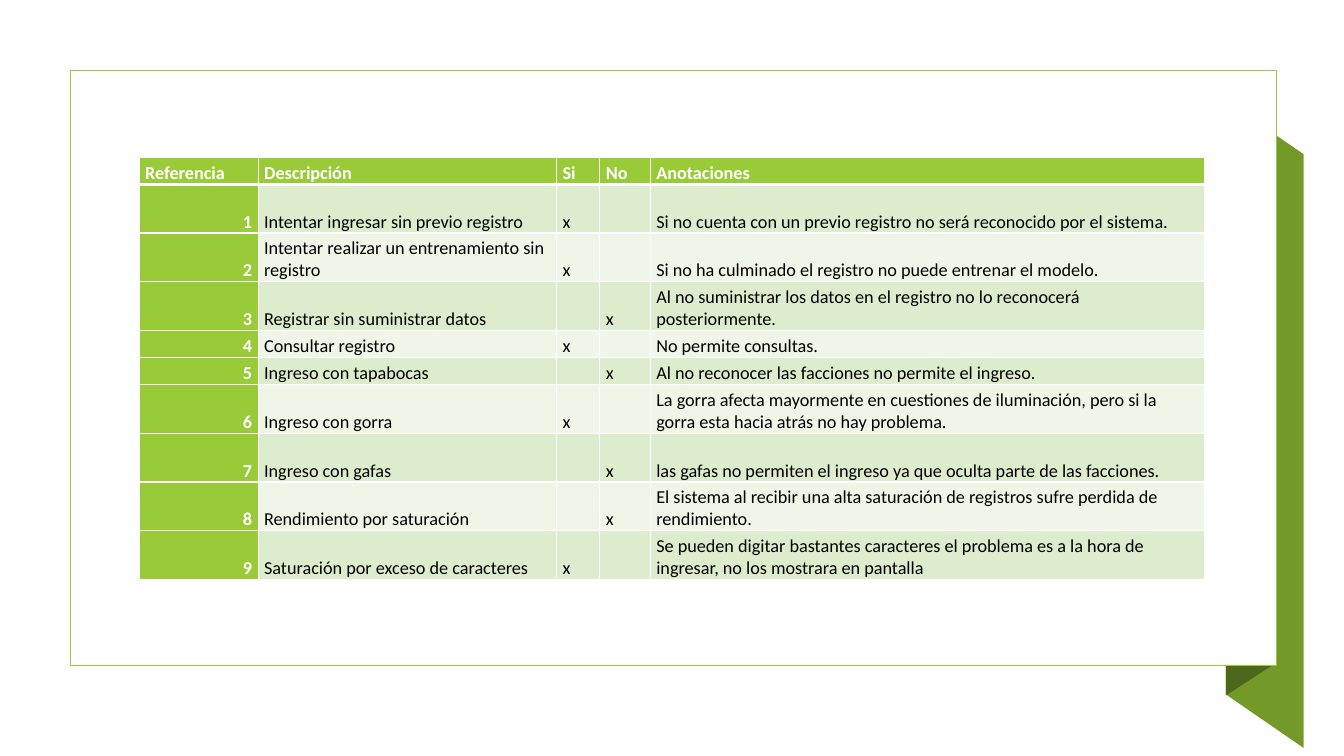
from lxml import etree
from pptx import Presentation
from pptx.dml.color import RGBColor
from pptx.enum.shapes import MSO_SHAPE
from pptx.enum.text import MSO_ANCHOR, PP_ALIGN
from pptx.oxml.ns import qn
from pptx.util import Inches, Pt

RECT = MSO_SHAPE.RECTANGLE
BOTTOM = MSO_ANCHOR.BOTTOM
LEFT, RIGHT = PP_ALIGN.LEFT, PP_ALIGN.RIGHT

COLORS = {
    "green": "99CB38", "ribbon": "739A28", "fold": "4D671B",
    "band_dark": "DEECCE", "band_light": "EFF6E8",
    "white": "FFFFFF", "black": "000000",
}
FONT_SIZE = 13
COL_WIDTHS = [1.18, 2.96, 0.43, 0.5, 5.5]
SHORT, TALL = 0.27, 0.483
SHORT_ROWS = {0, 4, 5}
CELL_FORMAT = {
    "margin_left": Inches(0.06), "margin_right": Inches(0.06),
    "margin_top": 0, "margin_bottom": 0, "vertical_anchor": BOTTOM,
}
HEADER = ["Referencia", "Descripción", "Si", "No", "Anotaciones"]
# Description, whether it was allowed, notes
TESTS = [
    ("Intentar ingresar sin previo registro", True,
     "Si no cuenta con un previo registro no será reconocido por el sistema."),
    ("Intentar realizar un entrenamiento sin registro", True,
     "Si no ha culminado el registro no puede entrenar el modelo."),
    ("Registrar sin suministrar datos", False,
     "Al no suministrar los datos en el registro no lo reconocerá posteriormente."),
    ("Consultar registro", True, "No permite consultas."),
    ("Ingreso con tapabocas", False,
     "Al no reconocer las facciones no permite el ingreso."),
    ("Ingreso con gorra", True,
     "La gorra afecta mayormente en cuestiones de iluminación, pero si la gorra "
     "esta hacia atrás no hay problema."),
    ("Ingreso con gafas", False,
     "las gafas no permiten el ingreso ya que oculta parte de las facciones."),
    ("Rendimiento por saturación", False,
     "El sistema al recibir una alta saturación de registros sufre perdida de "
     "rendimiento."),
    ("Saturación por exceso de caracteres", True,
     "Se pueden digitar bastantes caracteres el problema es a la hora de ingresar, "
     "no los mostrara en pantalla"),
]


def rgb(name):
    return RGBColor.from_string(COLORS[name])


def paint(shape, fill, line=None):
    shape.shadow.inherit = False
    shape.fill.solid()
    shape.fill.fore_color.rgb = rgb(fill)
    if line:
        shape.line.color.rgb = rgb(line)
        shape.line.width = Pt(1)
    else:
        shape.line.fill.background()


def add_band(slide, x, y, w, h, slant, fill):
    """Vertical band whose right edge is shifted down by slant."""
    points = [(x + w, y + h + slant), (x, y + h), (x, y), (x + w, y + slant)]
    points = [(Inches(px), Inches(py)) for px, py in points]
    builder = slide.shapes.build_freeform(*points[0], scale=1.0)
    builder.add_line_segments(points[1:], close=True)
    paint(builder.convert_to_shape(), fill)


def add_frame(slide, x, y, w, h):
    """White panel with a folded ribbon behind its right edge."""
    ribbon_x, ribbon_y = x + w - 0.5, y + 0.3
    add_band(slide, ribbon_x, ribbon_y, 0.77, 5.89, 0.53, "ribbon")
    add_band(slide, ribbon_x, ribbon_y, 0.46, 5.9, -0.3, "fold")
    panel = slide.shapes.add_shape(RECT, *(Inches(v) for v in (x, y, w, h)))
    paint(panel, "white", "green")


def set_borders(cell, bottom):
    tc_pr = cell._tc.get_or_add_tcPr()
    widths = {"lnL": 1, "lnR": 1, "lnT": 1, "lnB": bottom}
    for i, (side, width) in enumerate(widths.items()):
        ln = etree.Element(qn(f"a:{side}"), w=str(Pt(width)))
        fill = etree.SubElement(ln, qn("a:solidFill"))
        etree.SubElement(fill, qn("a:srgbClr"), val=COLORS["white"])
        tc_pr.insert(i, ln)


def fill_cell(cell, text, fill, strong, align, bottom):
    for name, value in CELL_FORMAT.items():
        setattr(cell, name, value)
    cell.fill.solid()
    cell.fill.fore_color.rgb = rgb(fill)
    set_borders(cell, bottom)
    p = cell.text_frame.paragraphs[0]
    p.alignment = align
    if not text:
        etree.SubElement(p._p, qn("a:endParaRPr"), sz=str(FONT_SIZE * 100))
        return
    r = p.add_run()
    r.text = text
    font = {"name": "Calibri", "size": Pt(FONT_SIZE), "bold": strong}
    for name, value in font.items():
        setattr(r.font, name, value)
    r.font.color.rgb = rgb("white" if strong else "black")


def add_test_table(slide, x, y):
    rows = [HEADER]
    for number, (test, allowed, note) in enumerate(TESTS, 1):
        marks = ["x", ""] if allowed else ["", "x"]
        rows.append([str(number), test, *marks, note])
    heights = [SHORT if i in SHORT_ROWS else TALL for i in range(len(rows))]
    box = (x, y, sum(COL_WIDTHS), sum(heights))
    table = slide.shapes.add_table(
        len(rows), len(COL_WIDTHS), *(Inches(v) for v in box)).table
    for column, width in zip(table.columns, COL_WIDTHS):
        column.width = Inches(width)
    for i, values in enumerate(rows):
        table.rows[i].height = Inches(heights[i])
        band = "band_dark" if i % 2 else "band_light"
        for j, text in enumerate(values):
            strong = i == 0 or j == 0
            fill_cell(table.cell(i, j), text, "green" if strong else band, strong,
                      RIGHT if i and j == 0 else LEFT, 1 if i else 3)


def main():
    prs = Presentation()
    prs.slide_width, prs.slide_height = Inches(13.33), Inches(7.5)
    slide = prs.slides.add_slide(prs.slide_layouts[6])
    add_frame(slide, 0.7, 0.7, 11.96, 5.9)
    add_test_table(slide, 1.38, 1.56)
    prs.save("out.pptx")


if __name__ == "__main__":
    main()
